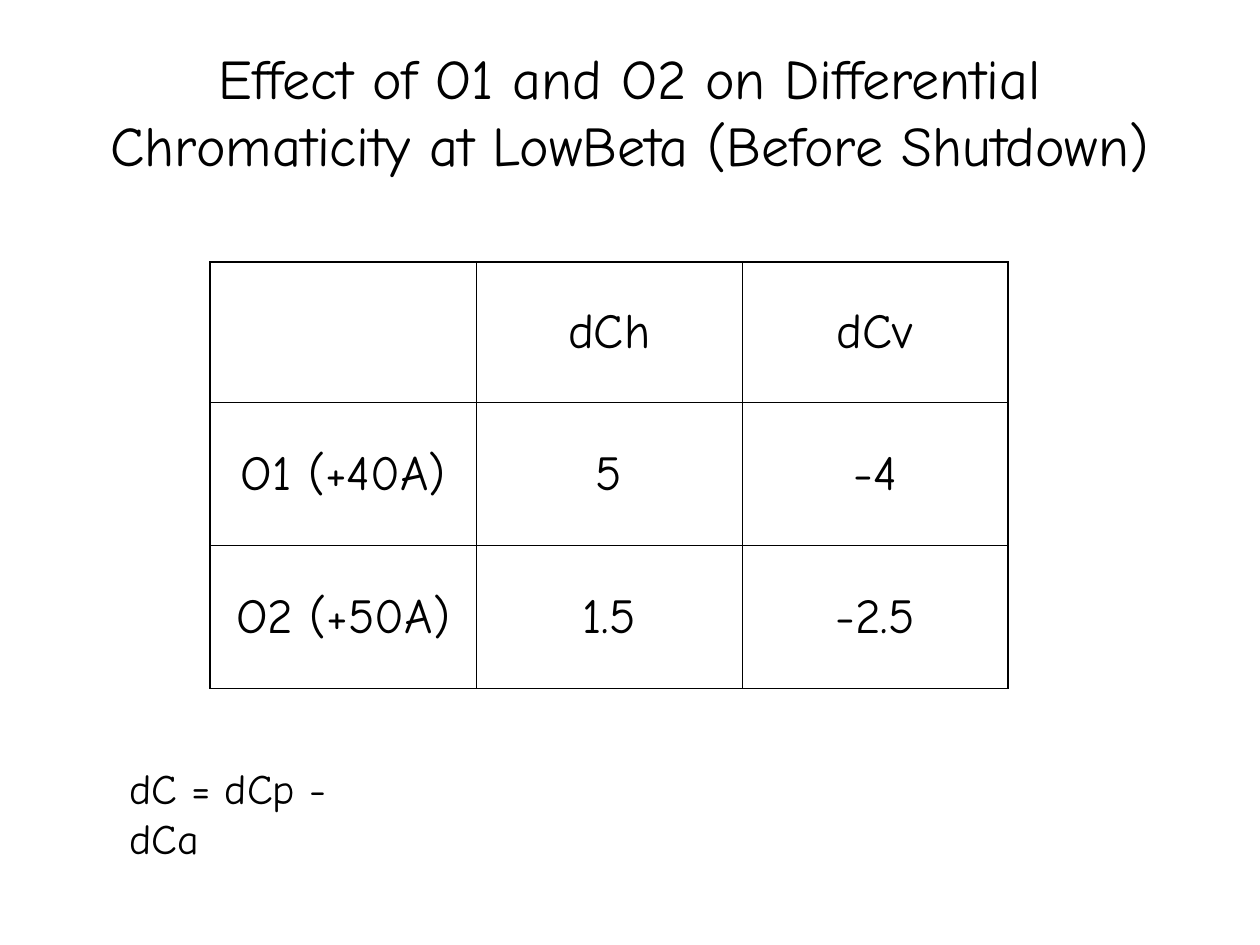
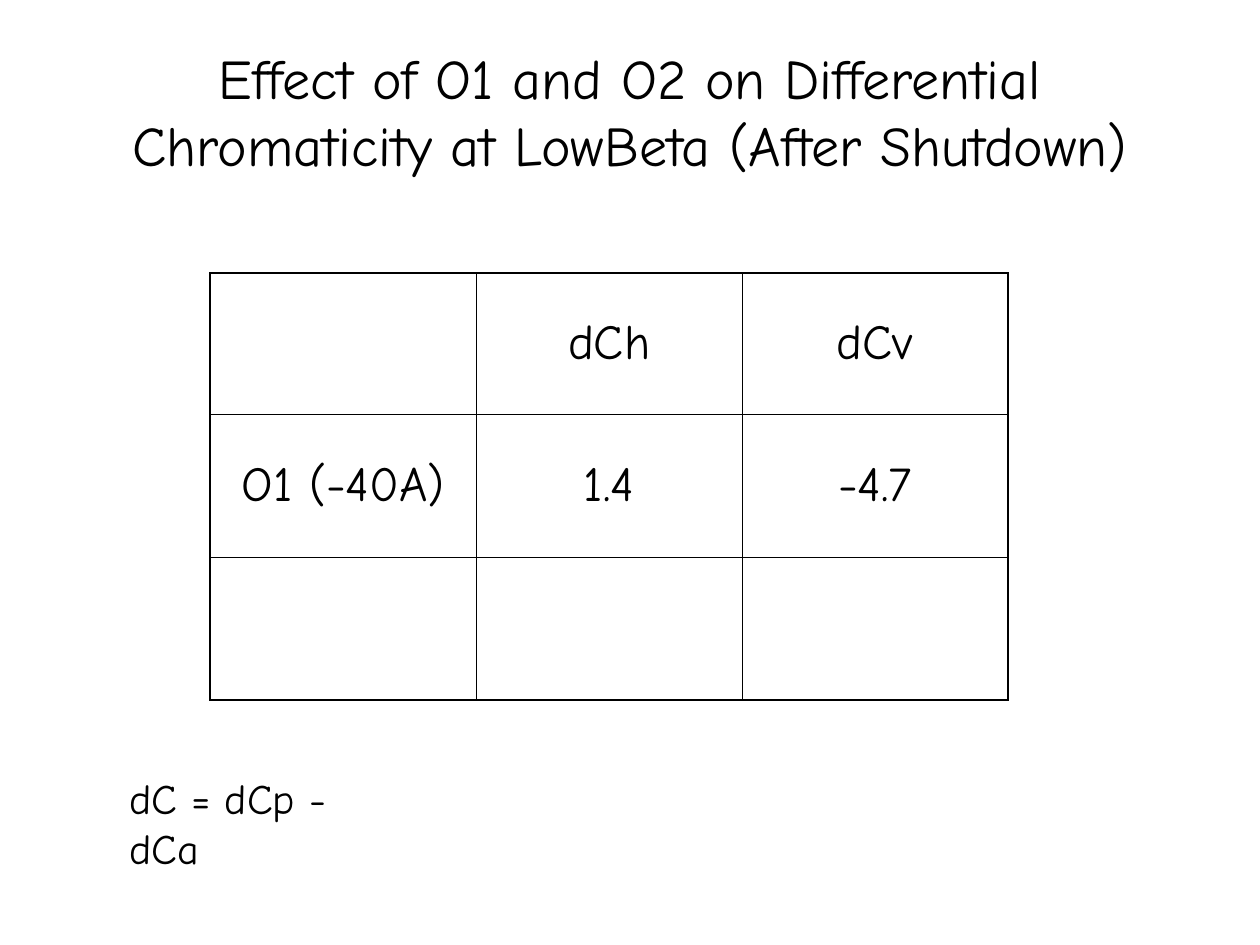
from dataclasses import dataclass

from pptx import Presentation
from pptx.dml.color import RGBColor
from pptx.enum.text import MSO_ANCHOR, MSO_AUTO_SIZE, PP_ALIGN
from pptx.oxml.ns import qn
from pptx.slide import Slide
from pptx.table import _Cell
from pptx.text.text import TextFrame
from pptx.util import Cm, Pt
from lxml import etree

CENTER, LEFT = PP_ALIGN.CENTER, PP_ALIGN.LEFT
MIDDLE, TOP = MSO_ANCHOR.MIDDLE, MSO_ANCHOR.TOP
NO_FIT, GROW = MSO_AUTO_SIZE.NONE, MSO_AUTO_SIZE.SHAPE_TO_FIT_TEXT

# Shared style
COLORS = {"text": "000000", "border": "000000", "background": "FFFFFF"}
FONT = "Comic Neue"
TITLE_SIZE, CELL_SIZE, NOTE_SIZE = Pt(32), Pt(28), Pt(24)
OUTER_BORDER, INNER_BORDER = Pt(1.08), Pt(0.45)

# Shared layout
TITLE_ONLY = 5
TABLE_LEFT, COLUMN_WIDTH = Cm(4.24), Cm(5.36)
ROW_HEIGHTS = [Cm(2.84), Cm(2.88), Cm(2.88)]
HEADER = ("", "dCh", "dCv")
NOTE = "dC = dCp - dCa"


@dataclass
class ChromaticitySlide:
    period: str
    table_top: float
    note_top: float
    rows: list[tuple[str, str, str]]


SLIDES = [
    ChromaticitySlide("Before", 5.28, 15.24, [
        ("O1 (+40A)", "5", "-4"),
        ("O2 (+50A)", "1.5", "-2.5"),
    ]),
    ChromaticitySlide("After", 5.51, 15.44, [
        ("O1 (-40A)", "1.4", "-4.7"),
        ("", "", ""),
    ]),
]


def write_text(frame: TextFrame, text: str, size: Pt, alignment: PP_ALIGN) -> None:
    frame.text = text
    paragraph = frame.paragraphs[0]
    paragraph.alignment = alignment
    paragraph.font.name = FONT
    paragraph.font.size = size
    paragraph.font.bold = False
    paragraph.font.color.rgb = RGBColor.from_string(COLORS["text"])


def add_border(cell: _Cell, side: str, width: Pt) -> None:
    properties = cell._tc.get_or_add_tcPr()
    line = etree.SubElement(properties, qn(f"a:ln{side}"), w=str(int(width)))
    fill = etree.SubElement(line, qn("a:solidFill"))
    etree.SubElement(fill, qn("a:srgbClr"), val=COLORS["border"])


def add_title(slide: Slide, period: str) -> None:
    title = slide.shapes.title
    title.left, title.top = Cm(1.27), Cm(0.64)
    title.width, title.height = Cm(22.86), Cm(3.18)
    frame = title.text_frame
    frame.auto_size = NO_FIT
    frame.vertical_anchor = MIDDLE
    text = ("Effect of O1 and O2 on Differential Chromaticity "
            f"at LowBeta ({period} Shutdown)")
    write_text(frame, text, TITLE_SIZE, CENTER)


def add_table(slide: Slide, top: float, rows: list[tuple[str, str, str]]) -> None:
    values = [HEADER, *rows]
    last_row, last_column = len(values) - 1, len(HEADER) - 1
    table = slide.shapes.add_table(
        len(values), len(HEADER), TABLE_LEFT, Cm(top),
        COLUMN_WIDTH * len(HEADER), sum(ROW_HEIGHTS)).table
    table.first_row = table.horz_banding = False
    for column in table.columns:
        column.width = COLUMN_WIDTH
    for row, height in zip(table.rows, ROW_HEIGHTS):
        row.height = height

    for row_index, row_values in enumerate(values):
        for column_index, text in enumerate(row_values):
            cell = table.cell(row_index, column_index)
            cell.vertical_anchor = MIDDLE
            # Heavier lines only on the outside of the grid
            on_edge = {"L": column_index == 0, "R": column_index == last_column,
                       "T": row_index == 0, "B": row_index == last_row}
            for side, outer in on_edge.items():
                add_border(cell, side, OUTER_BORDER if outer else INNER_BORDER)
            cell.fill.background()
            if text:
                write_text(cell.text_frame, text, CELL_SIZE, CENTER)


def add_note(slide: Slide, top: float) -> None:
    frame = slide.shapes.add_textbox(Cm(2.36), Cm(top), Cm(6.15), Cm(1.27)).text_frame
    frame.word_wrap = False
    frame.auto_size = GROW
    frame.vertical_anchor = TOP
    write_text(frame, NOTE, NOTE_SIZE, LEFT)


def main() -> None:
    presentation = Presentation()
    presentation.slide_width, presentation.slide_height = Cm(25.4), Cm(19.05)
    background = presentation.slide_master.background.fill
    background.solid()
    background.fore_color.rgb = RGBColor.from_string(COLORS["background"])
    for content in SLIDES:
        slide = presentation.slides.add_slide(presentation.slide_layouts[TITLE_ONLY])
        add_title(slide, content.period)
        add_table(slide, content.table_top, content.rows)
        add_note(slide, content.note_top)
    presentation.save("out.pptx")


if __name__ == "__main__":
    main()
